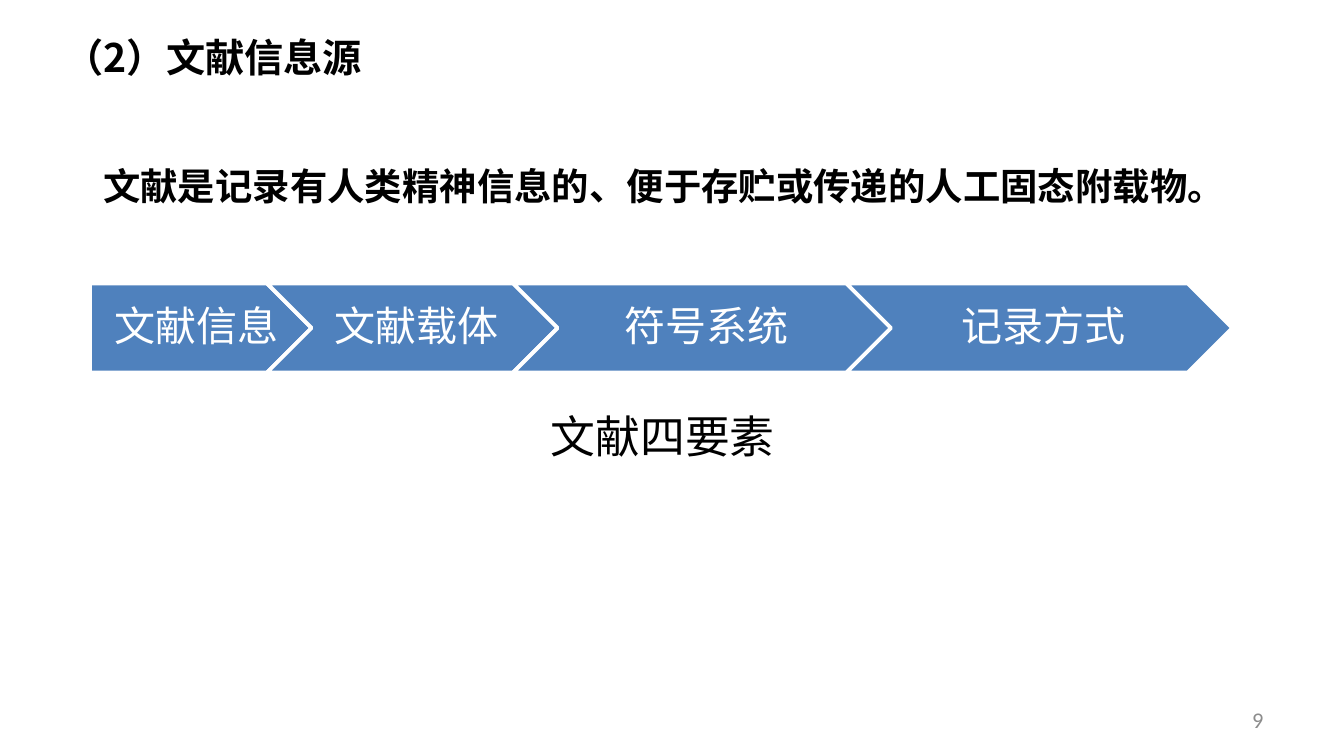
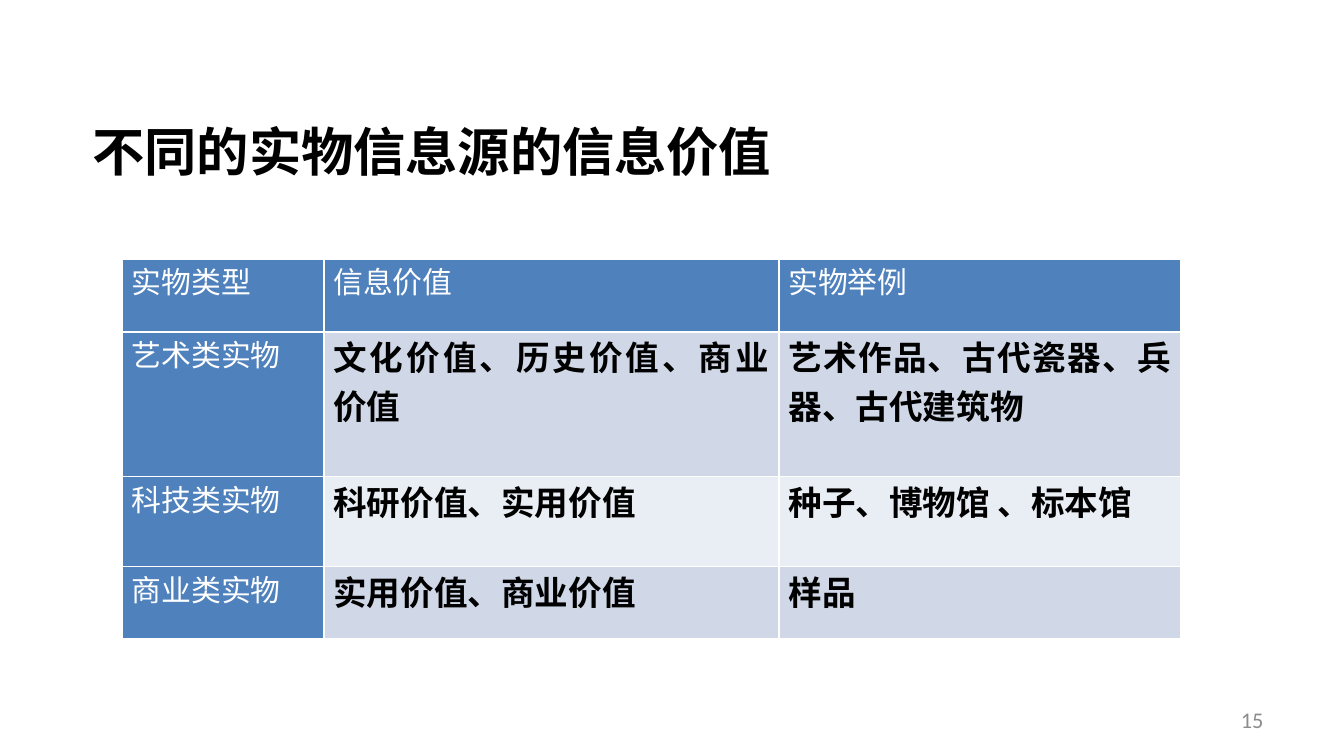
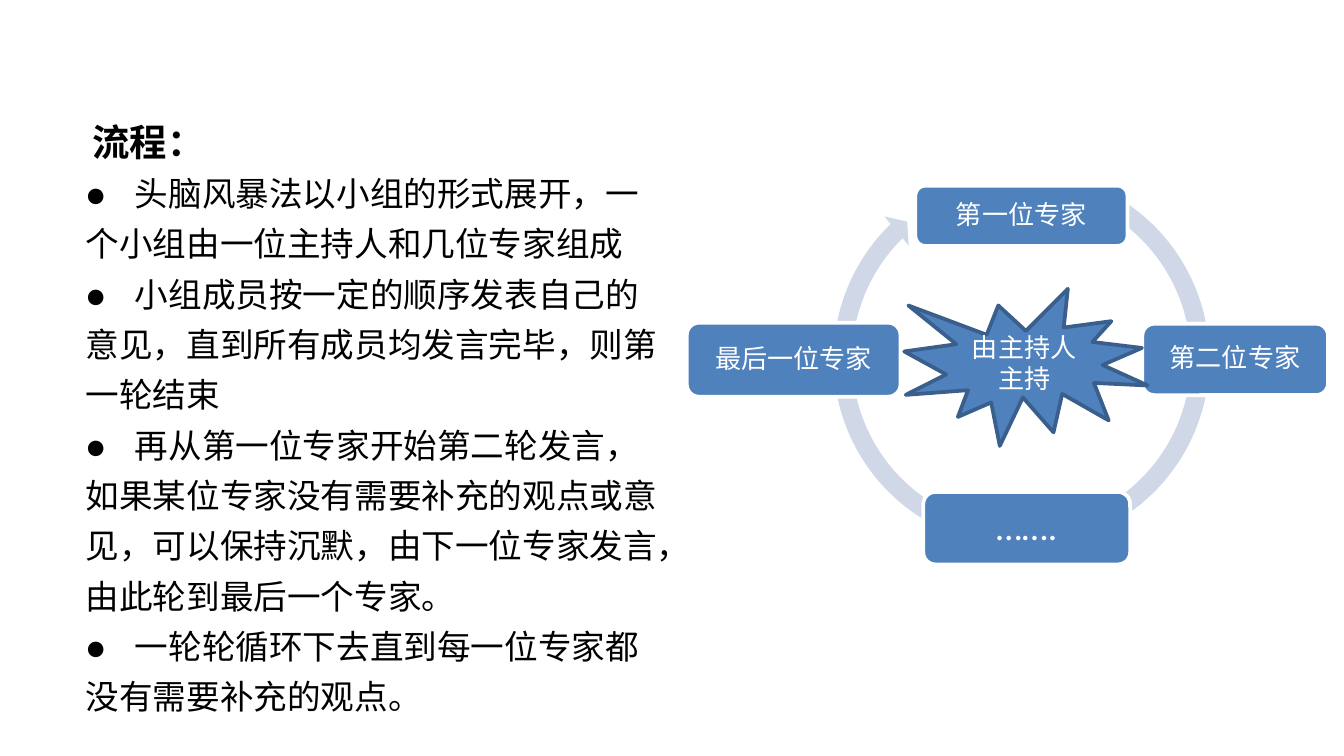
from lxml.etree import SubElement
from pptx import Presentation
from pptx.dml.color import RGBColor
from pptx.enum.lang import MSO_LANGUAGE_ID as LANG
from pptx.enum.shapes import MSO_SHAPE as SHAPE
from pptx.enum.text import MSO_ANCHOR as ANCHOR, MSO_AUTO_SIZE as AUTO, PP_ALIGN as ALIGN
from pptx.oxml.ns import qn
from pptx.util import Cm, Pt

COLORS = {
    "text": "000000",
    "white": "FFFFFF",
    "blue": "4F81BD",
    "edge": "3A5F8C",
    "band": "D0D8E8",
    "pale": "E9EDF4",
    "number": "8C8C8C",
}
LATIN = "Calibri"
CJK = "Noto Sans CJK SC"
INSETS = (0.25, 0.13, 0.25, 0.13)


def rgb(name):
    return RGBColor.from_string(COLORS[name])


def lengths(box):
    return [Cm(v) for v in box]


def style(p, size, color="text", bold=False, align=ALIGN.LEFT, spacing=None, font=LATIN, east=LATIN):
    p.alignment = align
    if spacing:
        p.line_spacing = spacing
    f = p.font
    f.size, f.bold, f.name = Pt(size), bold, font
    f.color.rgb = rgb(color)
    f.language_id = LANG.SIMPLIFIED_CHINESE
    rpr = p._p.pPr.find(qn("a:defRPr"))
    SubElement(rpr, qn("a:ea")).set("typeface", east)


def fill_frame(tf, text, size, anchor=ANCHOR.TOP, insets=INSETS, **kw):
    tf.word_wrap = True
    tf.auto_size = AUTO.NONE
    tf.vertical_anchor = anchor
    tf.margin_left, tf.margin_top, tf.margin_right, tf.margin_bottom = lengths(insets)
    tf.text = text
    for p in tf.paragraphs:
        style(p, size, **kw)


def add_text(s, box, text, size, **kw):
    sp = s.shapes.add_textbox(*lengths(box))
    fill_frame(sp.text_frame, text, size, **kw)


def add_title(s, box, text, size, **kw):
    sp = s.shapes.title
    sp.left, sp.top, sp.width, sp.height = lengths(box)
    fill_frame(sp.text_frame, text, size, bold=True, **kw)


def add_number(s, number):
    add_text(s, (18.21, 13.23, 5.92, 0.76), str(number), 12, anchor=ANCHOR.MIDDLE,
             color="number", align=ALIGN.RIGHT)


def add_block(s, kind, box, fill="blue", line="white"):
    sp = s.shapes.add_shape(kind, *lengths(box))
    sp.shadow.inherit = False
    sp.fill.solid()
    sp.fill.fore_color.rgb = rgb(fill)
    if line:
        sp.line.color.rgb = rgb(line)
        sp.line.width = Pt(2)
    else:
        sp.line.fill.background()
    return sp


def add_label(sp, text, size, insets, spacing=0.9):
    fill_frame(sp.text_frame, text, size, anchor=ANCHOR.MIDDLE, insets=insets,
               color="white", align=ALIGN.CENTER, spacing=spacing)


def add_elements(s, box, elements):
    x, y, _, h = box
    for i, (text, w) in enumerate(elements):
        kind = SHAPE.CHEVRON if i else SHAPE.PENTAGON
        sp = add_block(s, kind, (x, y, w, h))
        add_label(sp, text, 22, (0.25 if i else 0.33, 0.15, 0.08, 0.15))
        x += w - h / 2


def add_borders(cell):
    tcpr = cell._tc.get_or_add_tcPr()
    for side in ("lnL", "lnR", "lnT", "lnB"):
        ln = SubElement(tcpr, qn("a:" + side), w=str(Pt(1)))
        SubElement(SubElement(ln, qn("a:solidFill")), qn("a:srgbClr"), val=COLORS["white"])


def add_values(s, box, widths, heights, rows):
    table = s.shapes.add_table(len(rows), len(widths), *lengths(box)).table
    for column, w in zip(table.columns, widths):
        column.width = Cm(w)
    for row, h in zip(table.rows, heights):
        row.height = Cm(h)
    for i, texts in enumerate(rows):
        for j, text in enumerate(texts):
            cell = table.cell(i, j)
            head = i == 0 or j == 0
            cell.margin_left = cell.margin_right = Cm(0.18)
            cell.margin_top = cell.margin_bottom = 0
            cell.text = text
            style(cell.text_frame.paragraphs[0], 16 if head else 18,
                  color="white" if head else "text", bold=not head,
                  align=ALIGN.JUSTIFY, east=CJK)
            add_borders(cell)
            cell.fill.solid()
            cell.fill.fore_color.rgb = rgb("blue" if head else "band" if i % 2 else "pale")


def add_steps(s, box, steps):
    sp = s.shapes.add_textbox(*lengths(box))
    tf = sp.text_frame
    tf.text = "\n".join("●\t" + step for step in steps)
    for p in tf.paragraphs:
        tabs = SubElement(p._p.get_or_add_pPr(), qn("a:tabLst"))
        SubElement(tabs, qn("a:tab"), pos=str(Cm(0.93)), algn="l")
        style(p, 18, spacing=1.25)
    tf.word_wrap = True


def add_cycle(s, box, experts, host):
    x, y = box[:2]

    def place(dx, dy, w, h):
        return x + dx, y + dy, w, h

    ring = add_block(s, SHAPE.CIRCULAR_ARROW, place(2.59, 0, 7.47, 7.47), "band", None)
    for i, value in enumerate((0.047, 2.729, 135.409, 175.668, 0.048)):
        ring.adjustments[i] = value
    for text, size, part in experts:
        sp = add_block(s, SHAPE.ROUNDED_RECTANGLE, place(*part))
        add_label(sp, text, size, (0.15,) * 4)
    seal = add_block(s, SHAPE.EXPLOSION1, place(4.11, 2.41, 4.6, 2.97), line="edge")
    add_label(seal, host, 14, INSETS, spacing=None)


def elements_slide(s):
    add_title(s, (1.04, 0.53, 6.02, 1.09), "（2）文献信息源", 21,
              insets=(0.18, 0.1, 0.18, 0.1), font=CJK)
    add_text(s, (1.7, 2.95, 21.59, 1.12),
             "文献是记录有人类精神信息的、便于存贮或传递的人工固态附载物。", 20, bold=True)
    add_elements(s, (1.7, 5.36, 21.59, 1.68), [
        ("文献信息", 4.19), ("文献载体", 5.49), ("符号系统", 7.14), ("记录方式", 7.29)])
    add_text(s, (10.16, 7.59, 5.99, 1.27), "文献四要素", 24)
    add_number(s, 9)


def values_slide(s):
    add_title(s, (1.5, 2.13, 13.49, 1.45), "不同的实物信息源的信息价值", 28, font=CJK)
    add_values(s, (2.31, 4.9, 20, 7.18), (3.81, 8.6, 7.59), (1.37, 2.74, 1.7, 1.37), [
        ("实物类型", "信息价值", "实物举例"),
        ("艺术类实物", "文化价值、历史价值、商业价值", "艺术作品、古代瓷器、兵器、古代建筑物"),
        ("科技类实物", "科研价值、实用价值", "种子、博物馆 、标本馆"),
        ("商业类实物", "实用价值、商业价值", "样品"),
    ])
    add_number(s, 15)


def process_slide(s):
    add_title(s, (1.5, 2.13, 4.19, 1.12), "流程：", 20)
    add_cycle(s, (12.98, 3.05, 12.12, 7.62), [
        ("第一位专家", 14, (4.32, 0.46, 4.01, 1.14)),
        ("第二位专家", 14, (8.61, 3.07, 3.51, 1.35)),
        ("…….", 20, (4.47, 6.25, 3.91, 1.37)),
        ("最后一位专家", 14, (0, 3.05, 4.04, 1.4)),
    ], "由主持人主持")
    add_steps(s, (1.37, 2.95, 11.43, 10.44), [
        "头脑风暴法以小组的形式展开，一个小组由一位主持人和几位专家组成",
        "小组成员按一定的顺序发表自己的意见，直到所有成员均发言完毕，则第一轮结束",
        "再从第一位专家开始第二轮发言，如果某位专家没有需要补充的观点或意见，可以保持沉默，由下一位专家发言，由此轮到最后一个专家。",
        "一轮轮循环下去直到每一位专家都没有需要补充的观点。",
    ])


def main():
    prs = Presentation()
    prs.slide_width, prs.slide_height = Cm(25.4), Cm(14.29)
    for build in (elements_slide, values_slide, process_slide):
        build(prs.slides.add_slide(prs.slide_layouts[5]))
    prs.save("out.pptx")


if __name__ == "__main__":
    main()
